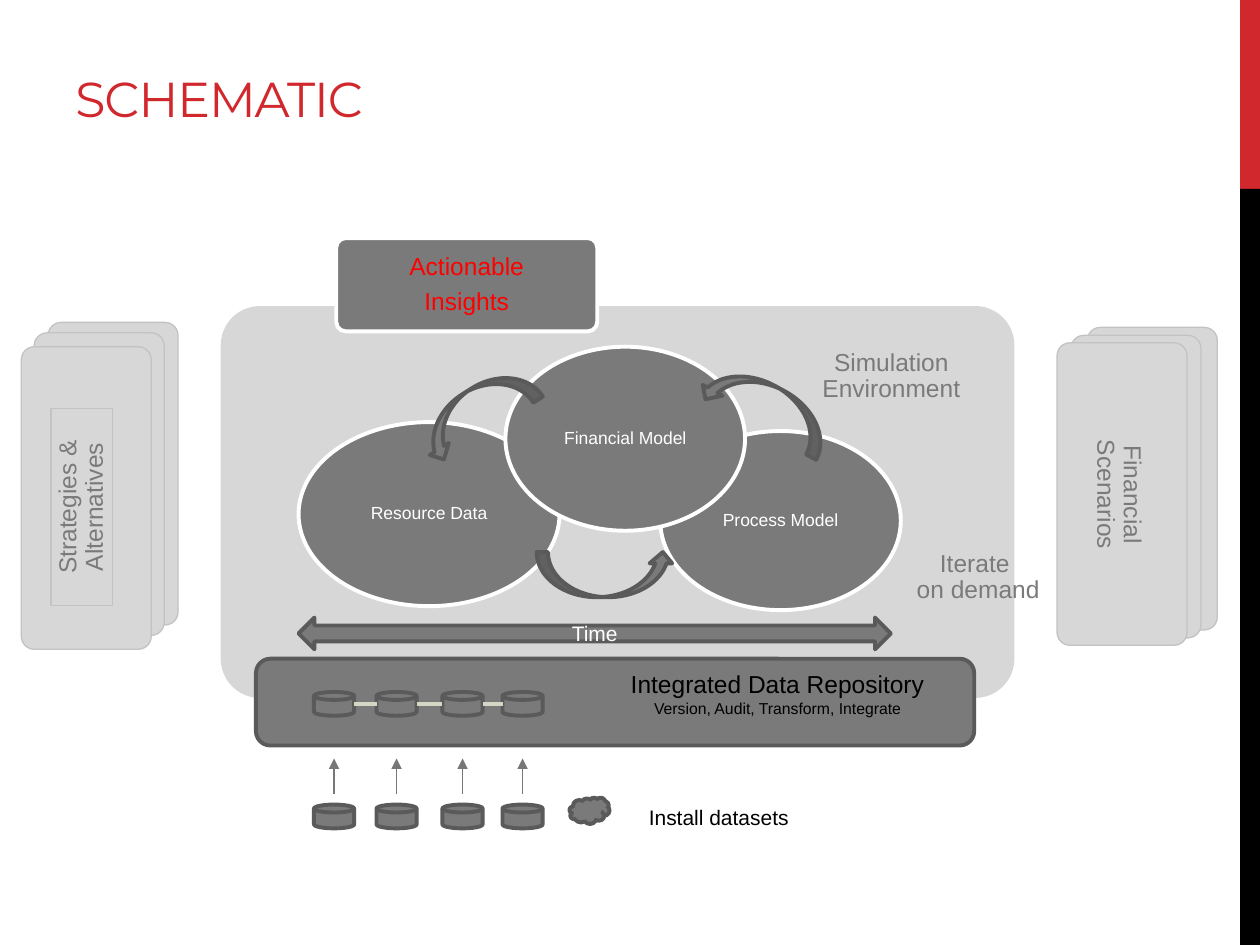
from lxml.etree import SubElement
from pptx import Presentation
from pptx.dml.color import RGBColor
from pptx.enum.shapes import MSO_CONNECTOR, MSO_SHAPE as Shape
from pptx.enum.text import MSO_ANCHOR as Anchor, PP_ALIGN as Align
from pptx.oxml.ns import qn
from pptx.util import Cm, Pt

WHITE = RGBColor(0xFF, 0xFF, 0xFF)
BLACK = RGBColor(0x00, 0x00, 0x00)
CRIMSON = RGBColor(0xD1, 0x28, 0x2E)
RED = RGBColor(0xFF, 0x00, 0x00)
GRAY = RGBColor(0x7A, 0x7A, 0x7A)
DARK_GRAY = RGBColor(0x5A, 0x5A, 0x5A)
ARROW_GRAY = RGBColor(0x77, 0x77, 0x77)
LIGHT_GRAY = RGBColor(0xD7, 0xD7, 0xD7)
EDGE_GRAY = RGBColor(0xC3, 0xC3, 0xC3)
LINK_BEIGE = RGBColor(0xD6, 0xD6, 0xC4)


class Schematic:
    """Draws styled elements on one slide; lengths are in centimetres."""

    font = "Arial"
    inset = 0.13

    def __init__(self, slide):
        self.slide = slide

    def shape(self, kind, left, top, width, height, fill=GRAY, line=DARK_GRAY,
              weight=2.25, corner=None, rotation=0):
        shape = self.slide.shapes.add_shape(
            kind, Cm(left), Cm(top), Cm(width), Cm(height))
        shape.shadow.inherit = False
        shape.rotation = rotation
        if corner is not None:
            shape.adjustments[0] = corner
        shape.fill.solid()
        shape.fill.fore_color.rgb = fill
        if line is None:
            shape.line.fill.background()
        else:
            shape.line.color.rgb = line
            shape.line.width = Pt(weight)
        return shape

    def card(self, left, top):
        return self.shape(Shape.ROUNDED_RECTANGLE, left, top, 2.62, 6.1,
                          LIGHT_GRAY, EDGE_GRAY, 0.75, corner=0.1)

    def disk(self, left, top):
        return self.shape(Shape.FLOWCHART_MAGNETIC_DISK, left, top,
                          DISK_WIDTH, DISK_HEIGHT)

    def set_text(self, shape, text, size, color, align=Align.CENTER,
                 anchor=Anchor.MIDDLE, spacing=0.9, inset=inset, wrap=True,
                 font=font):
        frame = shape.text_frame
        frame.text = text
        frame.word_wrap = wrap
        frame.vertical_anchor = anchor
        if inset is not None:
            frame.margin_left = frame.margin_right = Cm(inset)
            frame.margin_top = frame.margin_bottom = Cm(inset)
        for paragraph in frame.paragraphs:
            paragraph.alignment = align
            paragraph.line_spacing = spacing
            for run in paragraph.runs:
                run.font.name = font
                run.font.size = Pt(size)
                run.font.color.rgb = color
        return frame

    def label(self, left, top, width, height, text, size, color,
              rotation=0, **style):
        box = self.slide.shapes.add_textbox(
            Cm(left), Cm(top), Cm(width), Cm(height))
        box.rotation = rotation
        return self.set_text(box, text, size, color, **style)

    def line(self, x1, y1, x2, y2, color, weight, arrow=False):
        connector = self.slide.shapes.add_connector(
            MSO_CONNECTOR.STRAIGHT, Cm(x1), Cm(y1), Cm(x2), Cm(y2))
        connector.line.color.rgb = color
        connector.line.width = Pt(weight)
        properties = connector._element.spPr
        if arrow:
            SubElement(properties.find(qn("a:ln")), qn("a:headEnd"),
                       type="triangle")
        SubElement(properties, qn("a:effectLst"))


DISK_WIDTH, DISK_HEIGHT = 0.81, 0.48
DISK_LEFTS = [6.33, 7.59, 8.92, 10.13]
STORED_TOP, DATASET_TOP = 13.95, 16.22

MODELS = [
    ("Resource Data", 6.02, 8.51, 5.26, 3.71),
    ("Process Model", 13.31, 8.69, 4.85, 3.61),
    ("Financial Model", 10.19, 6.99, 4.83, 3.71),
]
CYCLE_ARROWS = [
    (14.07, 7.75, 2.77, 208.7),
    (10.82, 11.13, 2.77, 0),
    (8.31, 7.85, 2.59, 147.6),
]


def main():
    presentation = Presentation()
    presentation.slide_width, presentation.slide_height = Cm(25.4), Cm(19.05)
    slide = presentation.slides.add_slide(presentation.slide_layouts[6])
    schematic = Schematic(slide)

    # Side band and title
    schematic.shape(Shape.RECTANGLE, 25, 0, 0.4, 3.81, CRIMSON, None)
    schematic.shape(Shape.RECTANGLE, 25, 3.81, 0.4, 15.24, BLACK, None)
    title = schematic.label(1.27, 0.43, 9.98, 2.26, "SCHEMATIC", 28, CRIMSON,
                            align=Align.LEFT, anchor=Anchor.BOTTOM,
                            spacing=1, inset=None, font="Montserrat")
    title.paragraphs[0].runs[0].font._element.set("spc", "-60")

    # Simulation environment and repository panels
    schematic.shape(Shape.ROUNDED_RECTANGLE, 4.45, 6.17, 16, 7.9,
                    LIGHT_GRAY, None, corner=0.1)
    schematic.shape(Shape.ROUNDED_RECTANGLE, 5.16, 13.28, 14.48, 1.75)

    # Actionable insights
    insights = schematic.shape(Shape.ROUNDED_RECTANGLE, 6.78, 4.8, 5.26, 1.88,
                               line=WHITE, corner=0.1)
    frame = schematic.set_text(insights, "Actionable\nInsights", 14, RED)
    for paragraph in frame.paragraphs:
        paragraph.space_after = Pt(5)

    # Models and the cycle between them
    for name, left, top, width, height in MODELS:
        oval = schematic.shape(Shape.OVAL, left, top, width, height,
                               line=WHITE)
        schematic.set_text(oval, name, 10, WHITE, inset=0.1)
    for left, top, width, rotation in CYCLE_ARROWS:
        schematic.shape(Shape.CURVED_UP_ARROW, left, top, width, 0.91,
                        rotation=rotation)
    schematic.label(15.85, 6.55, 4.24, 2.08, "Simulation Environment", 14, GRAY)
    schematic.label(18.26, 11.1, 2.92, 1.09, "Iterate \von demand", 14, GRAY)

    # Financial scenarios, right stack
    for left, top in [(21.92, 6.6), (21.59, 6.76), (21.31, 6.91)]:
        schematic.card(left, top)
    schematic.label(20.57, 9.35, 3.96, 1.24, "Financial Scenarios", 14, GRAY,
                    rotation=90)

    # Strategies and alternatives, left stack
    for left, top in [(0.97, 6.5), (0.69, 6.71), (0.43, 6.99)]:
        schematic.card(left, top)
    strategies = schematic.shape(Shape.RECTANGLE, -0.33, 9.6, 3.96, 1.24,
                                 LIGHT_GRAY, EDGE_GRAY, 0.75, rotation=270)
    schematic.set_text(strategies, "Strategies &\vAlternatives", 14, GRAY)

    # Datasets feeding the repository
    for left in DISK_LEFTS:
        center = left + DISK_WIDTH / 2
        schematic.disk(left, STORED_TOP)
        schematic.disk(left, DATASET_TOP)
        schematic.line(center, 15.29, center, 16, ARROW_GRAY, 1, arrow=True)
    link_y = STORED_TOP + DISK_HEIGHT / 2
    for left, following in zip(DISK_LEFTS, DISK_LEFTS[1:]):
        schematic.line(left + DISK_WIDTH, link_y, following, link_y,
                       LINK_BEIGE, 2.5)
    schematic.shape(Shape.CLOUD, 11.48, 16.08, 0.81, 0.53)
    schematic.label(12.83, 16.1, 3.35, 0.76, "Install datasets", 12, BLACK,
                    align=Align.LEFT, anchor=Anchor.TOP, spacing=1,
                    inset=None, wrap=False)

    # Repository caption
    caption = schematic.label(
        11.94, 13.36, 7.47, 1.24,
        "Integrated Data Repository\nVersion, Audit, Transform, Integrate",
        14, BLACK, anchor=Anchor.TOP, spacing=1, inset=None)
    caption.paragraphs[1].runs[0].font.size = Pt(9)

    # Time axis
    time_axis = schematic.shape(Shape.LEFT_RIGHT_ARROW,
                                6.02, 12.45, 11.94, 0.64)
    schematic.set_text(time_axis, "Time", 12, WHITE, spacing=1, inset=None)

    presentation.save("out.pptx")


if __name__ == "__main__":
    main()
